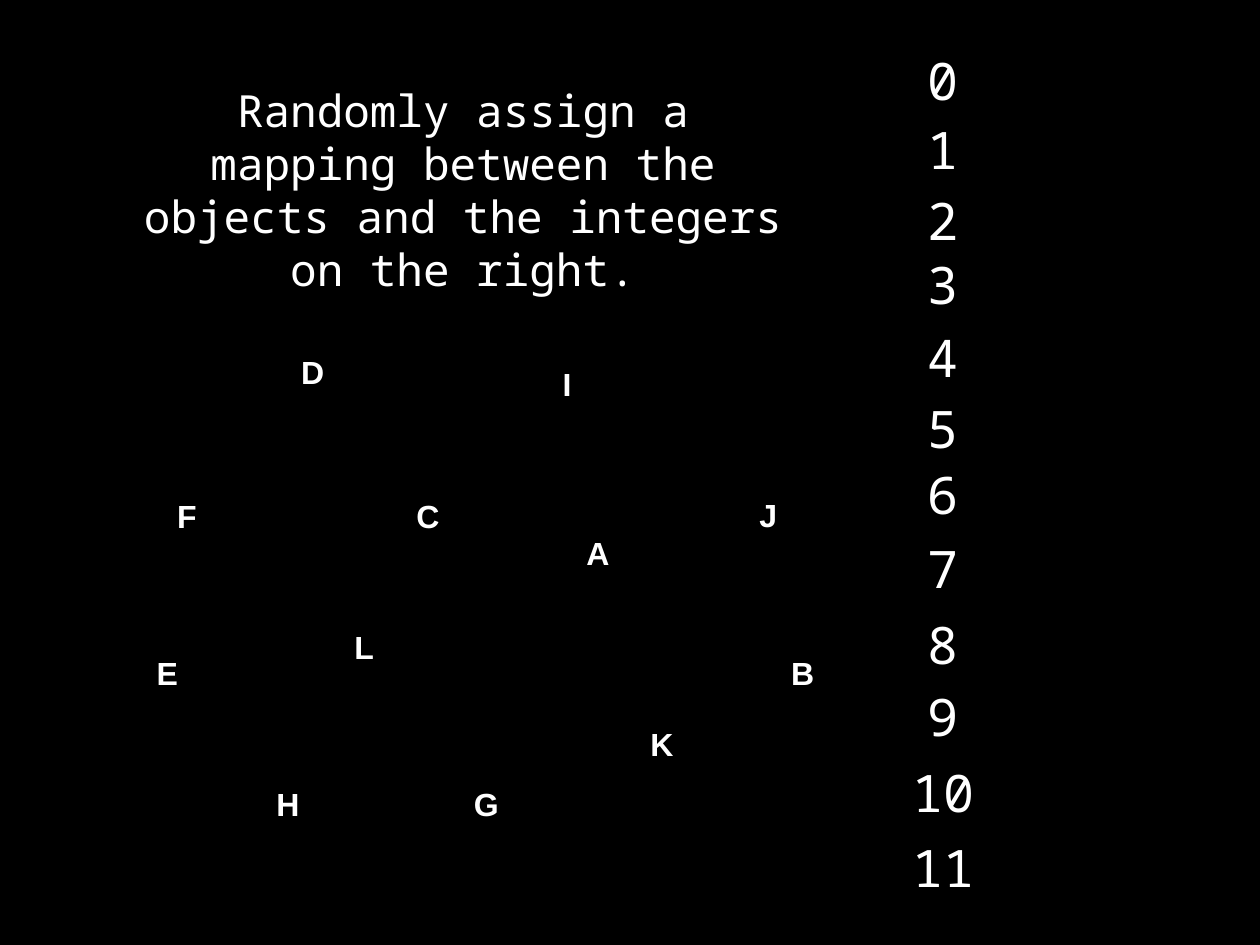
from pptx import Presentation
from pptx import util as u
from pptx.dml.color import RGBColor
from pptx.enum import shapes, text

PX = u.Inches(1) // 100
BLACK = RGBColor(0x00, 0x00, 0x00)
WHITE = RGBColor(0xFF, 0xFF, 0xFF)
INSET = 6
OBJECT_SIZE = 70
INTEGER_CENTER = 1064
INTEGER_HEIGHT = 79
DIGIT_WIDTH = 35
OBJECTS = {
    "H": (290, 873), "B": (871, 725), "C": (448, 547), "D": (318, 385),
    "E": (154, 725), "L": (376, 695), "G": (514, 873), "A": (640, 589),
    "I": (605, 398), "J": (832, 546), "K": (712, 805), "F": (176, 547),
}
INTEGER_TOPS = [51, 128, 209, 281, 363, 444, 518, 602, 687, 769, 854, 939]


def box(*lengths):
    return [length * PX for length in lengths]


def write(frame, words, size, font, bold=False, wrap=True,
          fit=text.MSO_AUTO_SIZE.SHAPE_TO_FIT_TEXT):
    frame.margin_left = frame.margin_right = INSET * PX
    frame.margin_top = frame.margin_bottom = INSET * PX
    frame.vertical_anchor = text.MSO_ANCHOR.MIDDLE
    frame.word_wrap = wrap
    frame.auto_size = fit
    line = frame.paragraphs[0]
    line.alignment = text.PP_ALIGN.CENTER
    run = line.add_run()
    run.text = words
    run.font.size = u.Pt(size)
    run.font.name = font
    run.font.bold = bold
    run.font.color.rgb = WHITE


def place_instruction(slide, words):
    instruction = slide.shapes.title
    (instruction.left, instruction.top,
     instruction.width, instruction.height) = box(155, 94, 735, 239)
    write(instruction.text_frame, words, 36, "Noto Sans Mono")


def add_object(slide, letter, left, top):
    item = slide.shapes.add_shape(
        shapes.MSO_SHAPE.OVAL, *box(left, top, OBJECT_SIZE, OBJECT_SIZE))
    item.shadow.inherit = False
    item.fill.background()
    item.line.fill.background()
    write(item.text_frame, letter, 26, "Arial", bold=True,
          fit=text.MSO_AUTO_SIZE.NONE)


def add_integer(slide, number, top):
    digits = str(number)
    width = 2 * INSET + 1 + DIGIT_WIDTH * len(digits)
    integer = slide.shapes.add_textbox(
        *box(INTEGER_CENTER - width // 2, top, width, INTEGER_HEIGHT))
    write(integer.text_frame, digits, 42, "Noto Sans Mono", wrap=False)


def main():
    deck = Presentation()
    deck.slide_width, deck.slide_height = box(1422, 1067)
    slide = deck.slides.add_slide(deck.slide_layouts.get_by_name("Title Only"))
    slide.background.fill.solid()
    slide.background.fill.fore_color.rgb = BLACK
    place_instruction(slide, "Randomly assign a mapping between the objects "
                             "and the integers on the right.")
    for letter, (left, top) in OBJECTS.items():
        add_object(slide, letter, left, top)
    for number, top in enumerate(INTEGER_TOPS):
        add_integer(slide, number, top)
    deck.save("out.pptx")


if __name__ == "__main__":
    main()
